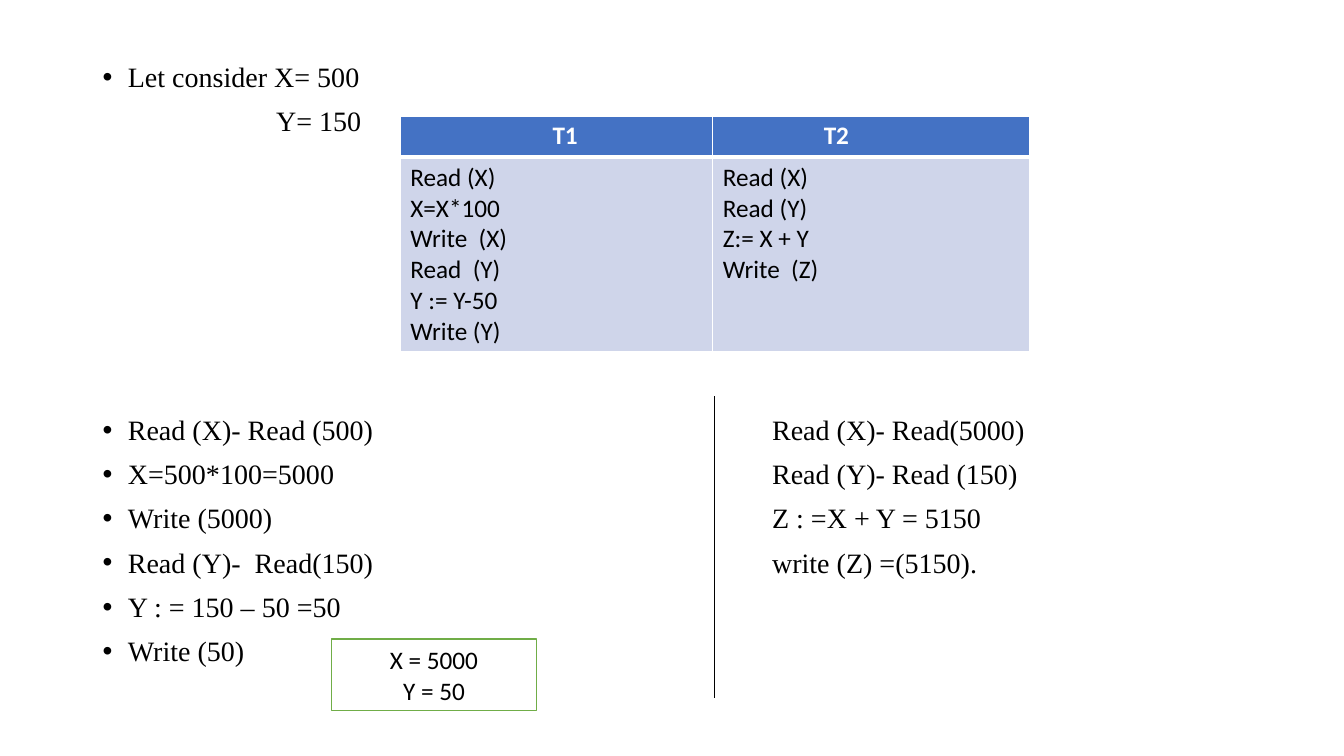
from pptx import Presentation
from pptx.dml.color import RGBColor
from pptx.enum.shapes import MSO_CONNECTOR, MSO_SHAPE
from pptx.enum.text import MSO_ANCHOR, PP_ALIGN
from pptx.oxml import parse_xml
from pptx.oxml.ns import nsdecls
from pptx.util import Inches, Pt

RECT, STRAIGHT = MSO_SHAPE.RECTANGLE, MSO_CONNECTOR.STRAIGHT
MIDDLE, CENTER = MSO_ANCHOR.MIDDLE, PP_ALIGN.CENTER
BLACK = RGBColor(0, 0, 0)
WHITE = RGBColor(0xFF, 0xFF, 0xFF)
BLUE = RGBColor(0x44, 0x72, 0xC4)
PALE = RGBColor(0xCF, 0xD5, 0xEA)
GREEN = RGBColor(0x70, 0xAD, 0x47)
BODY = {"name": "Times New Roman", "size": Pt(20)}
CELL = {"name": "Calibri", "size": Pt(18), "bold": False}
HEAD = {"name": "Calibri", "size": Pt(18), "bold": True}
TOP, LINE = 0.58, 0.4375


def write(tf, lines, fmt, color):
    tf.word_wrap = True
    tf.text = "\n".join(lines)
    for p in tf.paragraphs:
        for r in p.runs:
            for key, value in fmt.items():
                setattr(r.font, key, value)
            r.font.color.rgb = color


prs = Presentation()
prs.slide_width, prs.slide_height = Inches(13.33), Inches(7.5)
s = prs.slides.add_slide(prs.slide_layouts[6])

notes = [
    (0.92, 0, True, ["Let consider X= 500"]),
    (2.64, 1, False, ["Y= 150"]),
    (0.92, 8, True, ["Read (X)- Read (500)", "X=500*100=5000", "Write (5000)",
                     "Read (Y)-  Read(150)", "Y : = 150 – 50 =50", "Write (50)"]),
    (7.56, 8, False, ["Read (X)- Read(5000)", "Read (Y)- Read (150)",
                      "Z : =X + Y = 5150", "write (Z) =(5150)."]),
]
for left, row, bulleted, lines in notes:
    width = 1.3 if row == 1 else 4.4
    box = s.shapes.add_textbox(Inches(left), Inches(TOP + row * LINE),
                               Inches(width), Inches(len(lines) * LINE))
    write(box.text_frame, lines, BODY, BLACK)
    for p in box.text_frame.paragraphs:
        p.line_spacing, p.space_before = 0.9, Pt(10)
        if bulleted:
            pPr = p._p.get_or_add_pPr()
            pPr.set("marL", str(Inches(0.25)))
            pPr.set("indent", str(-Inches(0.25)))
            pPr.append(parse_xml(f'<a:buFont {nsdecls("a")} typeface="Arial"/>'))
            pPr.append(parse_xml(f'<a:buChar {nsdecls("a")} char="•"/>'))

columns = [
    (3.1, 1.51, "T1", ["Read (X)", "X=X*100", "Write  (X)",
                       "Read  (Y)", "Y := Y-50", "Write (Y)"]),
    (3.14, 1.1, "T2", ["Read (X)", "Read (Y)", "Z:= X + Y", "Write  (Z)"]),
]
table = s.shapes.add_table(2, 2, Inches(3.97), Inches(1.15),
                           Inches(6.24), Inches(2.34)).table
table.rows[0].height, table.rows[1].height = Inches(0.41), Inches(1.93)
for c, (width, indent, title, steps) in enumerate(columns):
    table.columns[c].width = Inches(width)
    head, body = table.cell(0, c), table.cell(1, c)
    head.margin_left = Inches(indent)
    for cell, lines, fmt, color, fill in [(head, [title], HEAD, WHITE, BLUE),
                                          (body, steps, CELL, BLACK, PALE)]:
        write(cell.text_frame, lines, fmt, color)
        cell.fill.solid()
        cell.fill.fore_color.rgb = fill
        tcPr = cell._tc.get_or_add_tcPr()
        for i, side in enumerate(["lnL", "lnR", "lnT", "lnB"]):
            thick = (cell is head and side == "lnB") or (cell is body and side == "lnT")
            tcPr.insert(i, parse_xml(
                f'<a:{side} {nsdecls("a")} w="{Pt(3 if thick else 1)}"><a:solidFill>'
                f'<a:srgbClr val="{WHITE}"/></a:solidFill></a:{side}>'))

sp = s.shapes.add_shape(RECT, Inches(3.29), Inches(6.34), Inches(2.03), Inches(0.71))
sp.shadow.inherit = False
sp.fill.solid()
sp.fill.fore_color.rgb = WHITE
sp.line.color.rgb, sp.line.width = GREEN, Pt(1)
write(sp.text_frame, ["X = 5000", "Y = 50"], CELL, BLACK)
sp.text_frame.vertical_anchor = MIDDLE
for p in sp.text_frame.paragraphs:
    p.alignment = CENTER

divider = s.shapes.add_connector(STRAIGHT, Inches(7.09), Inches(3.93),
                                 Inches(7.09), Inches(6.92))
divider.line.color.rgb, divider.line.width = BLACK, Pt(0.5)
divider._element.spPr.append(parse_xml(f'<a:effectLst {nsdecls("a")}/>'))

prs.save("out.pptx")
